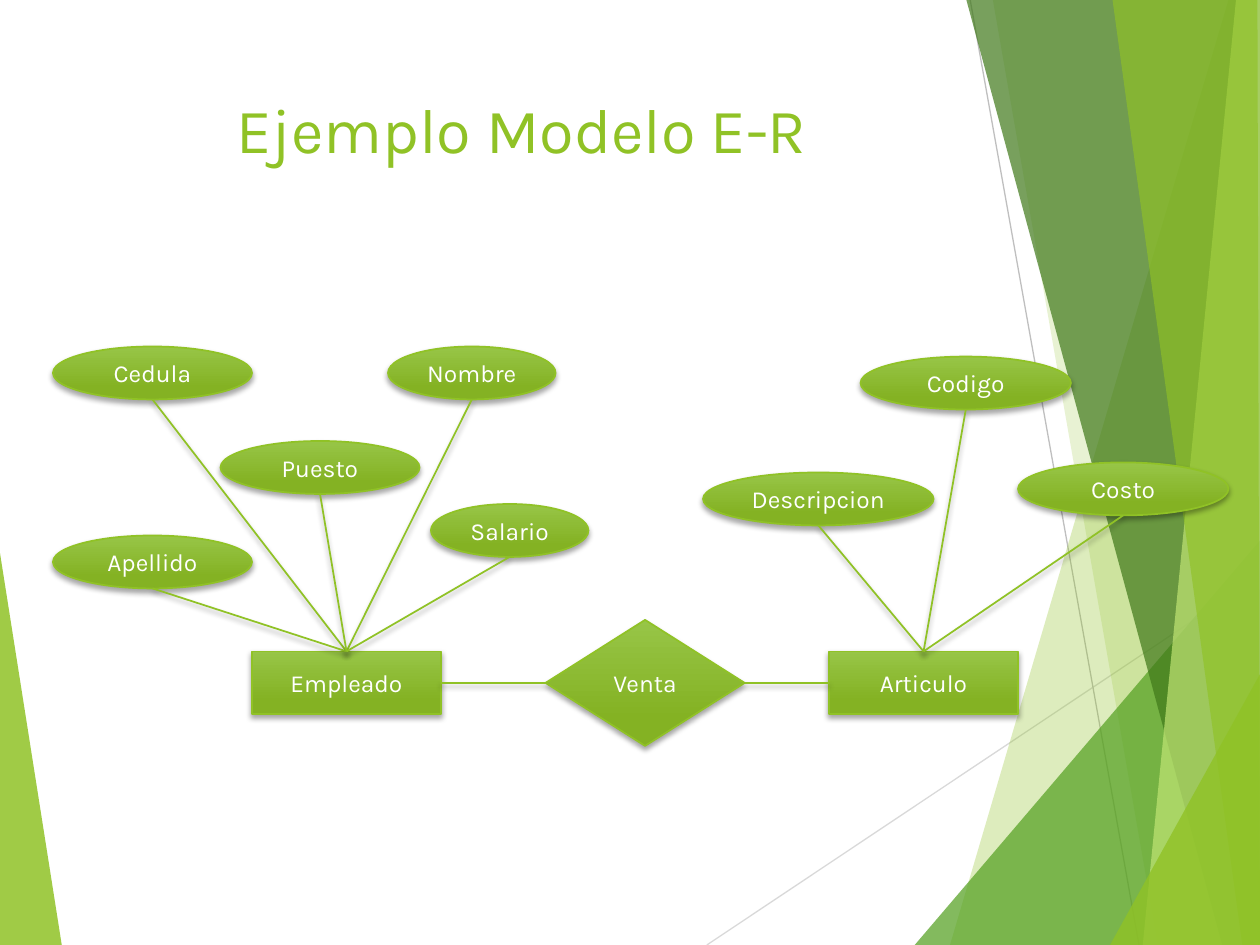
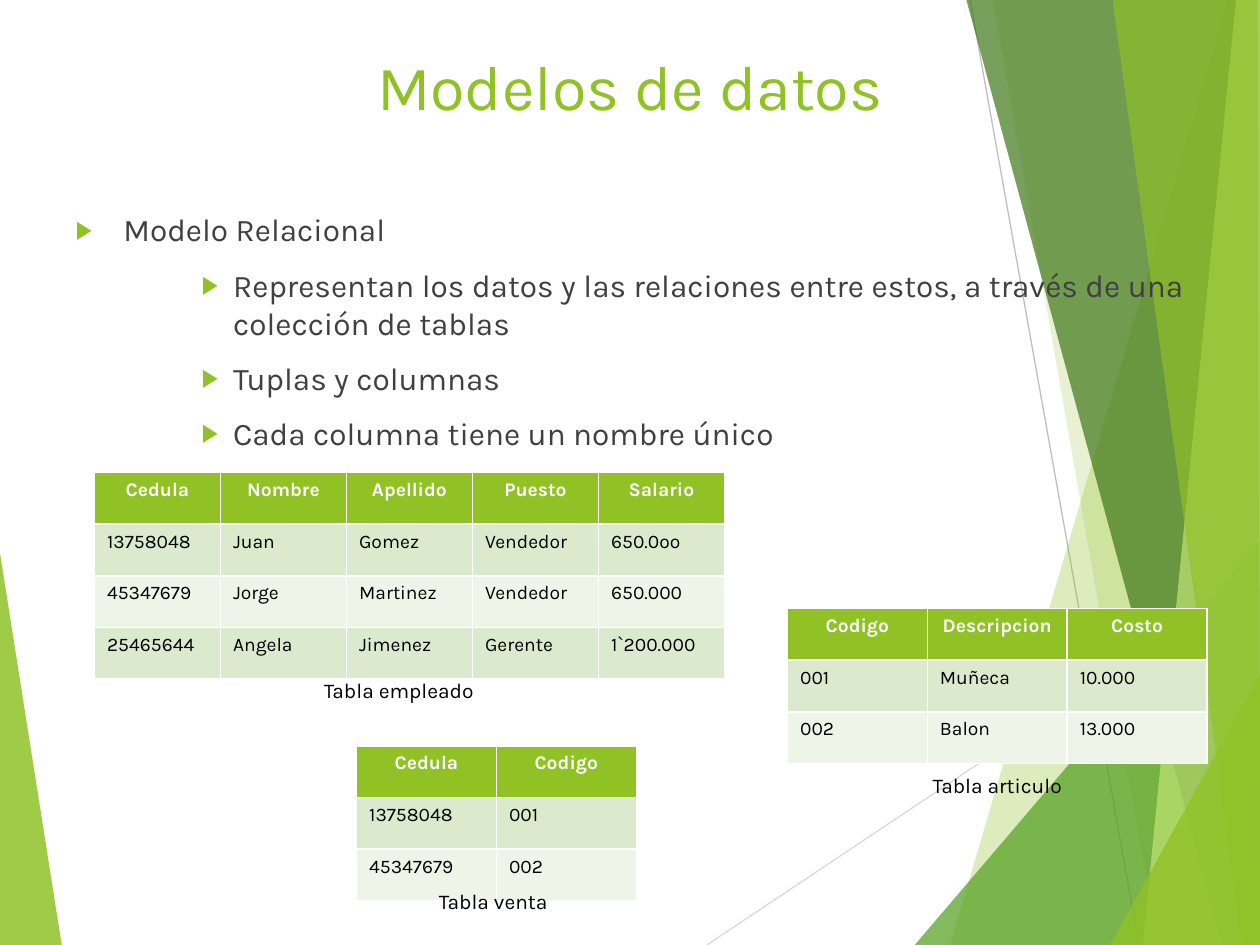
"""Build two slides about the entity-relationship and relational data models."""
from lxml.etree import SubElement
from pptx import Presentation
from pptx.dml.color import RGBColor
from pptx.enum.shapes import MSO_CONNECTOR, MSO_SHAPE
from pptx.enum.text import MSO_ANCHOR, MSO_AUTO_SIZE, PP_ALIGN
from pptx.oxml.ns import qn
from pptx.util import Inches, Pt

FONT = "Karla"
GREEN = RGBColor(0x90, 0xC2, 0x26)
LIGHT_GREEN = RGBColor(0xC0, 0xE4, 0x74)
MID_GREEN = RGBColor(0x54, 0xA0, 0x21)
DARK_GREEN = RGBColor(0x3F, 0x78, 0x19)
GRADIENT_TOP = RGBColor(0x97, 0xC5, 0x47)
GRADIENT_BOTTOM = RGBColor(0x84, 0xB2, 0x23)
ROW_FILLS = RGBColor(0xDB, 0xE9, 0xCD), RGBColor(0xEE, 0xF4, 0xE8)
LIGHT_GRAY = RGBColor(0xD9, 0xD9, 0xD9)
MID_GRAY = RGBColor(0xBF, 0xBF, 0xBF)
BODY_GRAY = RGBColor(0x40, 0x40, 0x40)
WHITE = RGBColor(0xFF, 0xFF, 0xFF)
BLACK = RGBColor(0x00, 0x00, 0x00)

TITLE_ONLY, TITLE_AND_CONTENT = 5, 1
TOP, LEFT, RIGHT = 0, 1, 3

BACKGROUND_LINES = [
    ((5.61, 7.5), (10, 4.57), LIGHT_GRAY),
    ((7.7, 0), (9.04, 7.5), MID_GRAY),
]
BANDS = [
    ([(9.75, 0), (7.54, 7.5), (10, 7.5), (10, 0)], GREEN, 30),
    ([(7.88, 0), (9.19, 7.5), (10, 7.5), (10, 0)], GREEN, 20),
    ([(7.26, 7.5), (10, 4.29), (10, 7.5)], MID_GREEN, 72),
    ([(7.67, 0), (9.7, 7.5), (10, 7.5), (10, 0)], DARK_GREEN, 70),
    ([(9.81, 0), (9.07, 7.5), (10, 7.5), (10, 0)], LIGHT_GREEN, 70),
    ([(8.83, 0), (9.86, 7.5), (10, 7.5), (9.98, 0)], GREEN, 65),
    ([(8.81, 7.5), (10, 5.35), (10, 7.5)], GREEN, 80),
]
LEFT_BAND = ([(0, 4.39), (0.49, 7.5), (0, 7.5)], GREEN, 85)

ATTRIBUTE_HEIGHT = 0.42
EMPLOYEE_ATTRIBUTES = [
    ("Cedula", 0.42, 2.75, 1.58),
    ("Nombre", 3.08, 2.75, 1.33),
    ("Apellido", 0.42, 4.25, 1.58),
    ("Puesto", 1.75, 3.5, 1.58),
    ("Salario", 3.42, 4, 1.25),
]
ARTICLE_ATTRIBUTES = [
    ("Codigo", 6.83, 2.83, 1.67),
    ("Descripcion", 5.58, 3.75, 1.83),
    ("Costo", 8.08, 3.67, 1.67),
]

EMPLOYEE_ROWS = [
    ("Cedula", "Nombre", "Apellido", "Puesto", "Salario"),
    ("13758048", "Juan", "Gomez", "Vendedor", "650.0oo"),
    ("45347679", "Jorge", "Martinez", "Vendedor", "650.000"),
    ("25465644", "Angela", "Jimenez", "Gerente", "1`200.000"),
]
ARTICLE_ROWS = [
    ("Codigo", "Descripcion", "Costo"),
    ("001", "Muñeca", "10.000"),
    ("002", "Balon", "13.000"),
]
SALE_ROWS = [("Cedula", "Codigo"), ("13758048", "001"), ("45347679", "002")]


class Deck:
    """Hold the shared style and the slide being built."""

    def __init__(self):
        """Create a 10 by 7.5 inch presentation."""
        self.presentation = Presentation()
        self.presentation.slide_width = Inches(10)
        self.presentation.slide_height = Inches(7.5)
        self.slide = None

    def add_slide(self, layout, title, box):
        """Start a slide and set its title."""
        self.slide = self.presentation.slides.add_slide(
            self.presentation.slide_layouts[layout])
        frame = self.place(self.slide.shapes.title, box)
        self.add_text(frame.paragraphs[0], title, 36, GREEN, PP_ALIGN.CENTER)

    def place(self, placeholder, box):
        """Move a placeholder and return its top-anchored text frame."""
        placeholder.left, placeholder.top, placeholder.width, placeholder.height = map(Inches, box)
        frame = placeholder.text_frame
        frame.auto_size = MSO_AUTO_SIZE.NONE
        frame.vertical_anchor = MSO_ANCHOR.TOP
        return frame

    def add_text(self, paragraph, text, size, color, alignment, bold=False):
        """Add one formatted run."""
        paragraph.alignment = alignment
        run = paragraph.add_run()
        run.text = text
        run.font.name = FONT
        run.font.size = Pt(size)
        run.font.bold = bold
        run.font.color.rgb = color

    def set_shadow(self, shape, soft=True):
        """Give a shape a soft shadow, or none."""
        effects = SubElement(shape.element.spPr, qn("a:effectLst"))
        if soft:
            shadow = SubElement(effects, qn("a:outerShdw"), blurRad=str(Pt(3)),
                                dist=str(Pt(2)), dir="5400000", rotWithShape="0")
            color = SubElement(shadow, qn("a:srgbClr"), val=str(BLACK))
            SubElement(color, qn("a:alpha"), val="35000")

    def add_line(self, shapes, start, end, color, width, soft=True):
        """Draw a straight line."""
        line = shapes.add_connector(MSO_CONNECTOR.STRAIGHT, *map(Inches, start + end))
        line.line.color.rgb = color
        line.line.width = Pt(width)
        self.set_shadow(line, soft)
        return line

    def add_band(self, shapes, points, color, opacity):
        """Draw a translucent polygon."""
        corners = [(Inches(x), Inches(y)) for x, y in points]
        builder = shapes.build_freeform(*corners[0])
        builder.add_line_segments(corners[1:], close=True)
        band = builder.convert_to_shape()
        band.shadow.inherit = False
        band.fill.solid()
        band.fill.fore_color.rgb = color
        band.line.fill.background()
        fill = band.element.spPr.find(qn("a:solidFill"))
        SubElement(fill[0], qn("a:alpha"), val=str(opacity * 1000))

    def add_background(self):
        """Draw the shared background and hand it to the slide master."""
        group = self.slide.shapes.add_group_shape()
        self.add_band(group.shapes, *LEFT_BAND)
        for start, end, color in BACKGROUND_LINES:
            self.add_line(group.shapes, start, end, color, 0.75, soft=False)
        for band in BANDS:
            self.add_band(group.shapes, *band)
        for number, properties in enumerate(group.element.iter(qn("p:cNvPr")), 100):
            properties.set("id", str(number))
        self.presentation.slide_master.shapes.element.insert(2, group.element)

    def add_node(self, kind, text, *box):
        """Draw a labelled diagram node."""
        node = self.slide.shapes.add_shape(kind, *map(Inches, box))
        node.fill.gradient()
        node.fill.gradient_angle = 270
        first, last = node.fill.gradient_stops
        first.color.rgb, first.position = GRADIENT_TOP, 0
        last.color.rgb, last.position = GRADIENT_BOTTOM, 0.78
        node.line.color.rgb = GREEN
        node.line.width = Pt(1)
        self.set_shadow(node)
        frame = node.text_frame
        frame.margin_left = frame.margin_right = 0
        frame.vertical_anchor = MSO_ANCHOR.MIDDLE
        self.add_text(frame.paragraphs[0], text, 14, WHITE, PP_ALIGN.CENTER)
        return node

    def add_attributes(self, entity, attributes):
        """Draw attribute ellipses and link them to their entity."""
        for text, left, top, width in attributes:
            self.add_node(MSO_SHAPE.OVAL, text, left, top, width, ATTRIBUTE_HEIGHT)
        for text, left, top, width in attributes:
            bottom = (left + width / 2, top + ATTRIBUTE_HEIGHT)
            line = self.add_line(self.slide.shapes, bottom, bottom, GREEN, 1)
            line.begin_connect(entity, TOP)

    def join(self, left_node, right_node):
        """Link the facing sides of two nodes."""
        line = self.add_line(self.slide.shapes, (0, 0), (0, 0), GREEN, 1)
        line.begin_connect(left_node, RIGHT)
        line.end_connect(right_node, LEFT)

    def add_list(self, items, box):
        """Fill the body placeholder with bulleted items."""
        frame = self.place(self.slide.placeholders[1], box)
        for index, (text, level, indent, hanging) in enumerate(items):
            paragraph = frame.add_paragraph() if index else frame.paragraphs[0]
            paragraph.level = level
            paragraph.space_before = Pt(10)
            self.add_text(paragraph, text, 18, BODY_GRAY, PP_ALIGN.JUSTIFY)
            properties = paragraph._p.get_or_add_pPr()
            properties.set("marL", str(Inches(indent)))
            properties.set("indent", str(-Inches(hanging)))
            color = SubElement(properties, qn("a:buClr"))
            SubElement(color, qn("a:srgbClr"), val=str(GREEN))
            SubElement(properties, qn("a:buSzPct"), val="80000")
            SubElement(properties, qn("a:buChar"), char="▶")

    def add_table(self, rows, left, top, column_width):
        """Draw a table with a green header and banded rows."""
        row_height = 0.41
        size = len(rows), len(rows[0])
        table = self.slide.shapes.add_table(
            *size, Inches(left), Inches(top),
            Inches(column_width * size[1]), Inches(row_height * size[0])).table
        for column in table.columns:
            column.width = Inches(column_width)
        for index, values in enumerate(rows):
            table.rows[index].height = Inches(row_height)
            header = index == 0
            for column, text in enumerate(values):
                cell = table.cell(index, column)
                cell.fill.solid()
                cell.fill.fore_color.rgb = GREEN if header else ROW_FILLS[(index - 1) % 2]
                self.add_text(cell.text_frame.paragraphs[0], text, 11,
                              WHITE if header else BLACK,
                              PP_ALIGN.CENTER if header else PP_ALIGN.LEFT, header)

    def add_caption(self, text, left, top):
        """Add a centred table caption."""
        box = self.slide.shapes.add_textbox(Inches(left), Inches(top), Inches(1.67), Inches(0.3))
        box.text_frame.word_wrap = True
        self.add_text(box.text_frame.paragraphs[0], text, 12, BLACK, PP_ALIGN.CENTER)


def build_entity_diagram(deck):
    """Build the entity-relationship example."""
    deck.add_slide(TITLE_ONLY, "Ejemplo Modelo E-R", (0.67, 0.67, 6.94, 1.44))
    deck.add_background()
    employee = deck.add_node(MSO_SHAPE.RECTANGLE, "Empleado", 2, 5.17, 1.5, 0.5)
    article = deck.add_node(MSO_SHAPE.RECTANGLE, "Articulo", 6.58, 5.17, 1.5, 0.5)
    sale = deck.add_node(MSO_SHAPE.DIAMOND, "Venta", 4.33, 4.92, 1.58, 1)
    deck.add_attributes(employee, EMPLOYEE_ATTRIBUTES)
    deck.add_attributes(article, ARTICLE_ATTRIBUTES)
    deck.join(employee, sale)
    deck.join(sale, article)


def build_relational_model(deck):
    """Build the relational model slide."""
    deck.add_slide(TITLE_AND_CONTENT, "Modelos de datos", (0.5, 0.33, 9, 1.25))
    details = [
        "Representan los datos y las relaciones entre estos, a través de una colección de tablas",
        "Tuplas y columnas",
        "Cada columna tiene un nombre único",
    ]
    items = [("Modelo Relacional", 0, 0.38, 0.38)]
    items += [(text, 2, 1.25, 0.25) for text in details]
    deck.add_list(items, (0.5, 1.62, 9, 4.8))
    deck.add_table(EMPLOYEE_ROWS, 0.75, 3.75, 1)
    deck.add_table(ARTICLE_ROWS, 6.25, 4.83, 1.11)
    deck.add_table(SALE_ROWS, 2.83, 5.92, 1.11)
    deck.add_caption("Tabla empleado", 2.33, 5.33)
    deck.add_caption("Tabla articulo", 7.08, 6.08)
    deck.add_caption("Tabla venta", 3.08, 7)


def main():
    """Build and save the presentation."""
    deck = Deck()
    build_entity_diagram(deck)
    build_relational_model(deck)
    deck.presentation.save("out.pptx")


if __name__ == "__main__":
    main()
